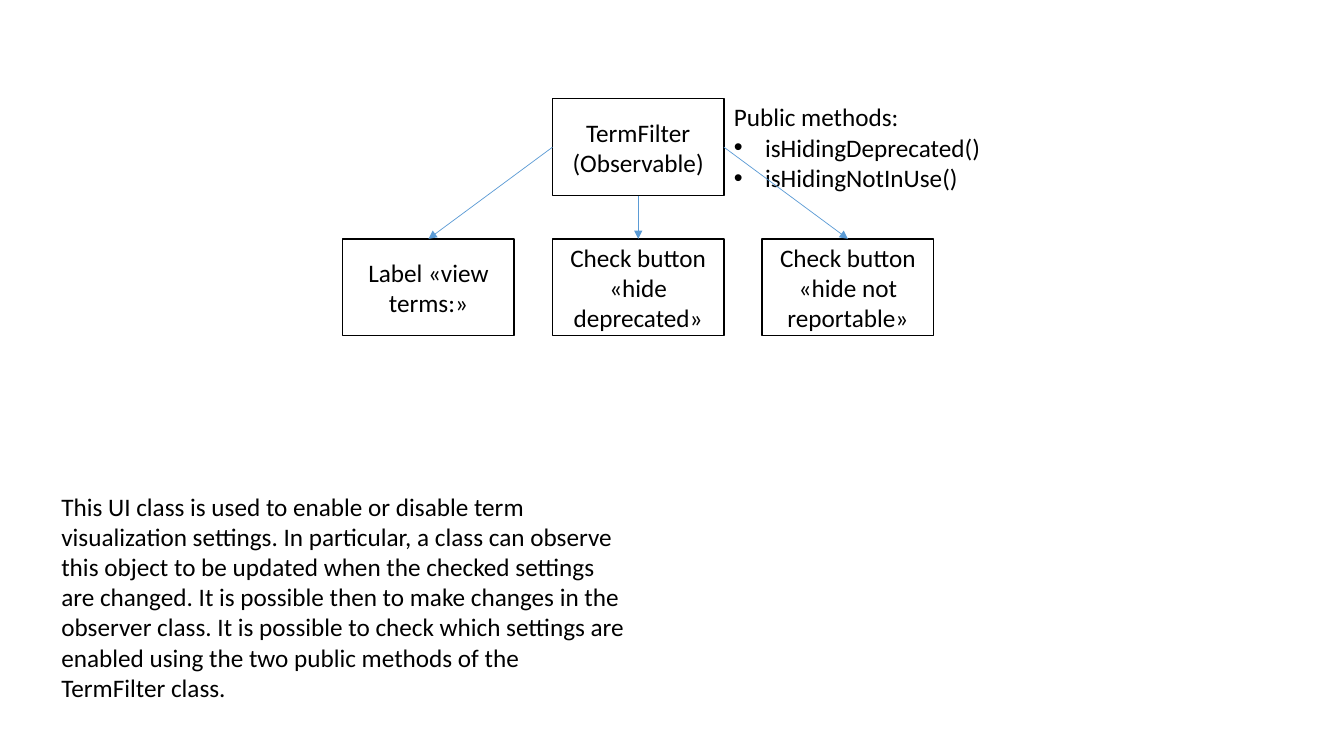
from lxml import etree
from pptx import Presentation
from pptx.dml.color import RGBColor
from pptx.enum.shapes import MSO_CONNECTOR, MSO_SHAPE
from pptx.enum.text import MSO_ANCHOR, MSO_AUTO_SIZE, PP_ALIGN
from pptx.oxml.ns import qn
from pptx.util import Emu, Pt

RECTANGLE = MSO_SHAPE.RECTANGLE
STRAIGHT = MSO_CONNECTOR.STRAIGHT
MIDDLE = MSO_ANCHOR.MIDDLE
GROW = MSO_AUTO_SIZE.SHAPE_TO_FIT_TEXT
LEFT_ALIGNED, CENTERED = PP_ALIGN.LEFT, PP_ALIGN.CENTER
TOP, LEFT, BOTTOM, RIGHT = range(4)

EMU_PER_PX = 9144
SLIDE_WIDTH, SLIDE_HEIGHT = 1333, 750
BOX_WIDTH, BOX_HEIGHT = 170, 96
MIDDLE_COLUMN, COLUMN_PITCH = 548, 208
PARENT_TOP, CHILD_TOP = 98, 237


def px(length):
    return Emu(length * EMU_PER_PX)


def color(hex_code):
    return RGBColor.from_string(hex_code)


class DiagramSlide:
    """Draws class diagram elements on a slide in one shared style."""

    font, size = "Calibri", 18
    ink, paper, accent = "000000", "FFFFFF", "5B9BD5"

    def __init__(self, slide):
        self.slide = slide

    def fill_text(self, frame, text, align):
        frame.text = text
        for paragraph in frame.paragraphs:
            paragraph.alignment = align
            for run in paragraph.runs:
                run.font.name = self.font
                run.font.size = Pt(self.size)
                run.font.color.rgb = color(self.ink)

    def box(self, left, top, text):
        box = self.slide.shapes.add_shape(
            RECTANGLE, px(left), px(top), px(BOX_WIDTH), px(BOX_HEIGHT))
        box.shadow.inherit = False
        box.fill.solid()
        box.fill.fore_color.rgb = color(self.paper)
        box.line.color.rgb = color(self.ink)
        box.line.width = Pt(1)
        box.text_frame.word_wrap = True
        box.text_frame.vertical_anchor = MIDDLE
        self.fill_text(box.text_frame, text, CENTERED)
        return box

    def note(self, left, top, width, height, text, wrap=True):
        note = self.slide.shapes.add_textbox(px(left), px(top), px(width), px(height))
        frame = note.text_frame
        frame.word_wrap = wrap
        frame.auto_size = GROW
        self.fill_text(frame, text, LEFT_ALIGNED)
        return frame

    def bullet(self, paragraph, indent=31):
        properties = paragraph._p.get_or_add_pPr()
        properties.set("marL", str(px(indent)))
        properties.set("indent", str(px(-indent)))
        etree.SubElement(properties, qn("a:buFont"), typeface="Arial")
        etree.SubElement(properties, qn("a:buChar"), char="•")

    def arrow(self, source, source_side, target, target_side):
        arrow = self.slide.shapes.add_connector(STRAIGHT, 0, 0, 0, 0)
        arrow.begin_connect(source, source_side)
        arrow.end_connect(target, target_side)
        arrow.line.color.rgb = color(self.accent)
        arrow.line.width = Pt(0.5)
        properties = arrow._element.spPr
        etree.SubElement(properties.find(qn("a:ln")), qn("a:tailEnd"), type="triangle")
        etree.SubElement(properties, qn("a:effectLst"))


def main():
    presentation = Presentation()
    presentation.slide_width = px(SLIDE_WIDTH)
    presentation.slide_height = px(SLIDE_HEIGHT)
    blank_layout = presentation.slide_layouts[6]
    diagram = DiagramSlide(presentation.slides.add_slide(blank_layout))

    term_filter = diagram.box(MIDDLE_COLUMN, PARENT_TOP, "TermFilter\n(Observable)")
    widget_labels = (
        "Label «view terms:»",
        "Check button «hide deprecated»",
        "Check button «hide not reportable»",
    )
    widgets = [
        diagram.box(MIDDLE_COLUMN + column * COLUMN_PITCH, CHILD_TOP, label)
        for column, label in enumerate(widget_labels, start=-1)
    ]

    methods = diagram.note(
        718, 96, 268, 101,
        "Public methods:\nisHidingDeprecated()\nisHidingNotInUse()", wrap=False)
    for method in methods.paragraphs[1:]:
        diagram.bullet(method)

    for side, widget in zip((LEFT, BOTTOM, RIGHT), widgets):
        diagram.arrow(term_filter, side, widget, TOP)

    diagram.note(
        51, 482, 579, 222,
        "This UI class is used to enable or disable term visualization settings. "
        "In particular, a class can observe this object to be updated when the "
        "checked settings are changed. It is possible then to make changes in the "
        "observer class. It is possible to check which settings are enabled using "
        "the two public methods of the TermFilter class.")

    presentation.save("out.pptx")


if __name__ == "__main__":
    main()
